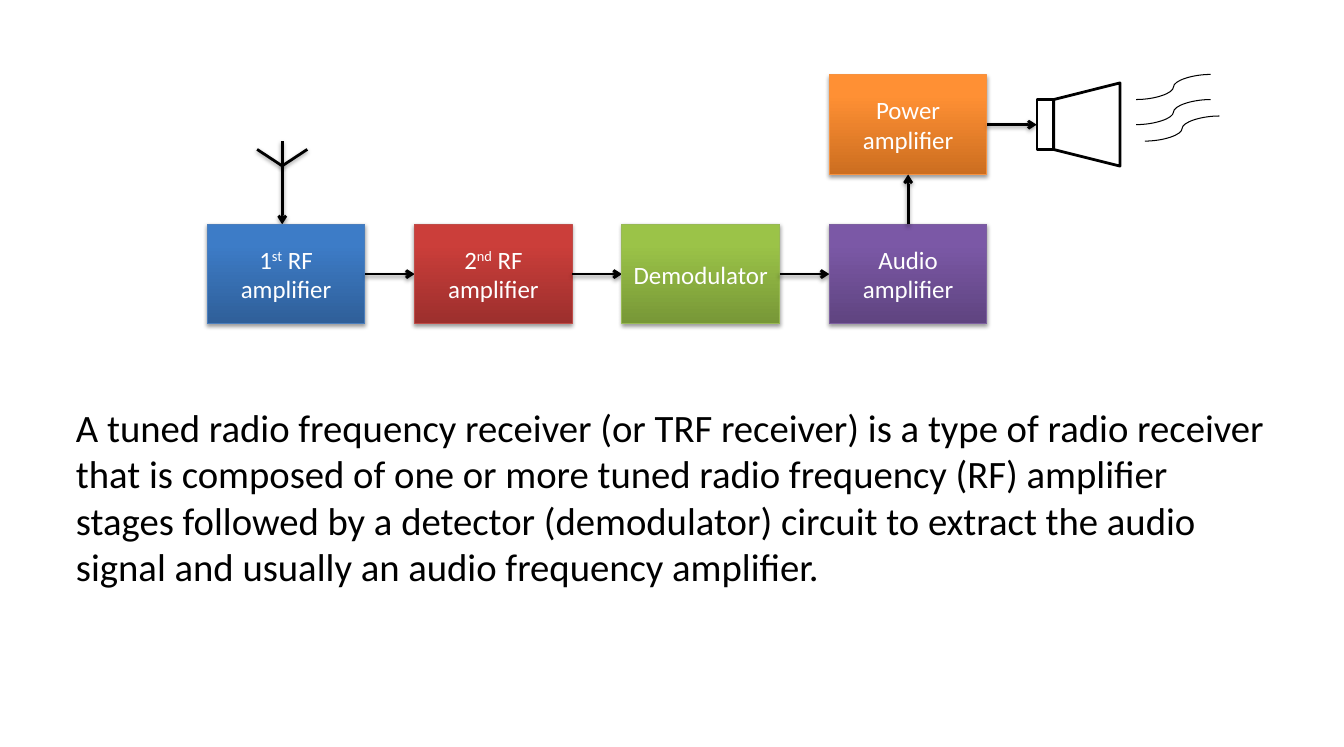
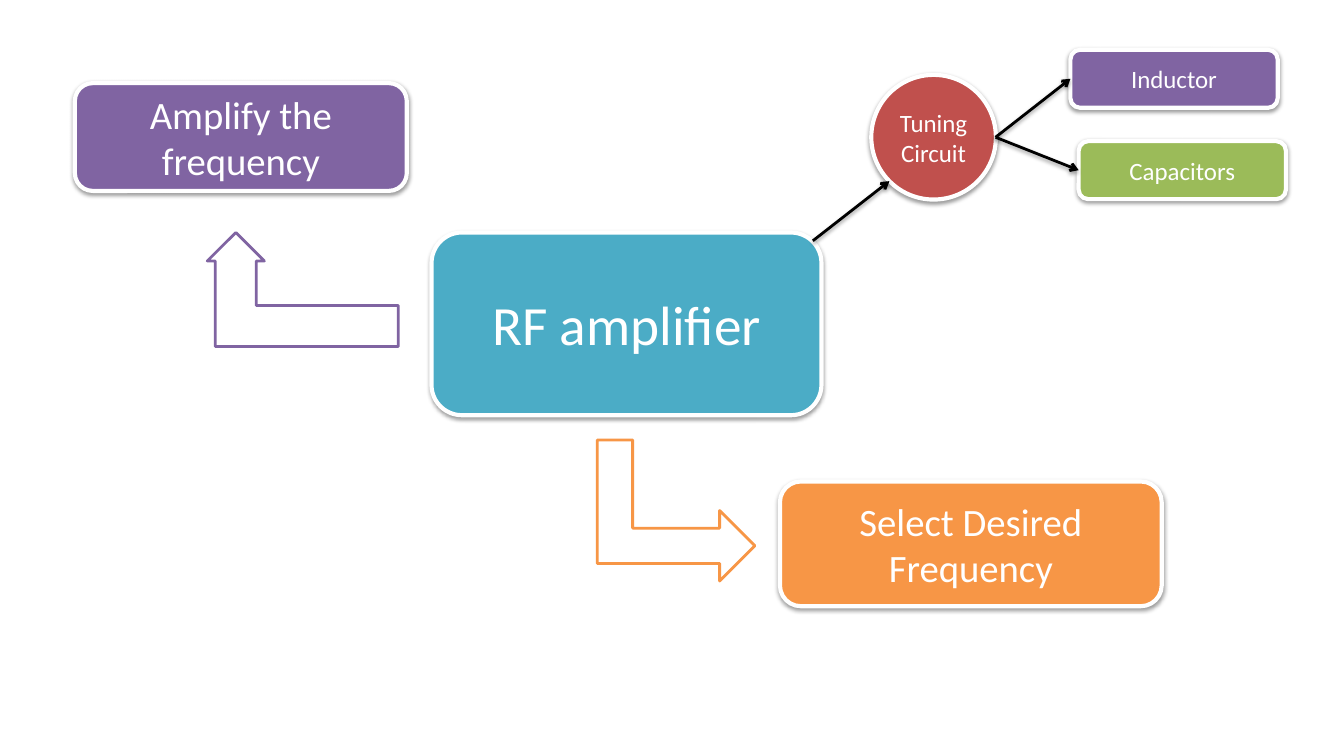
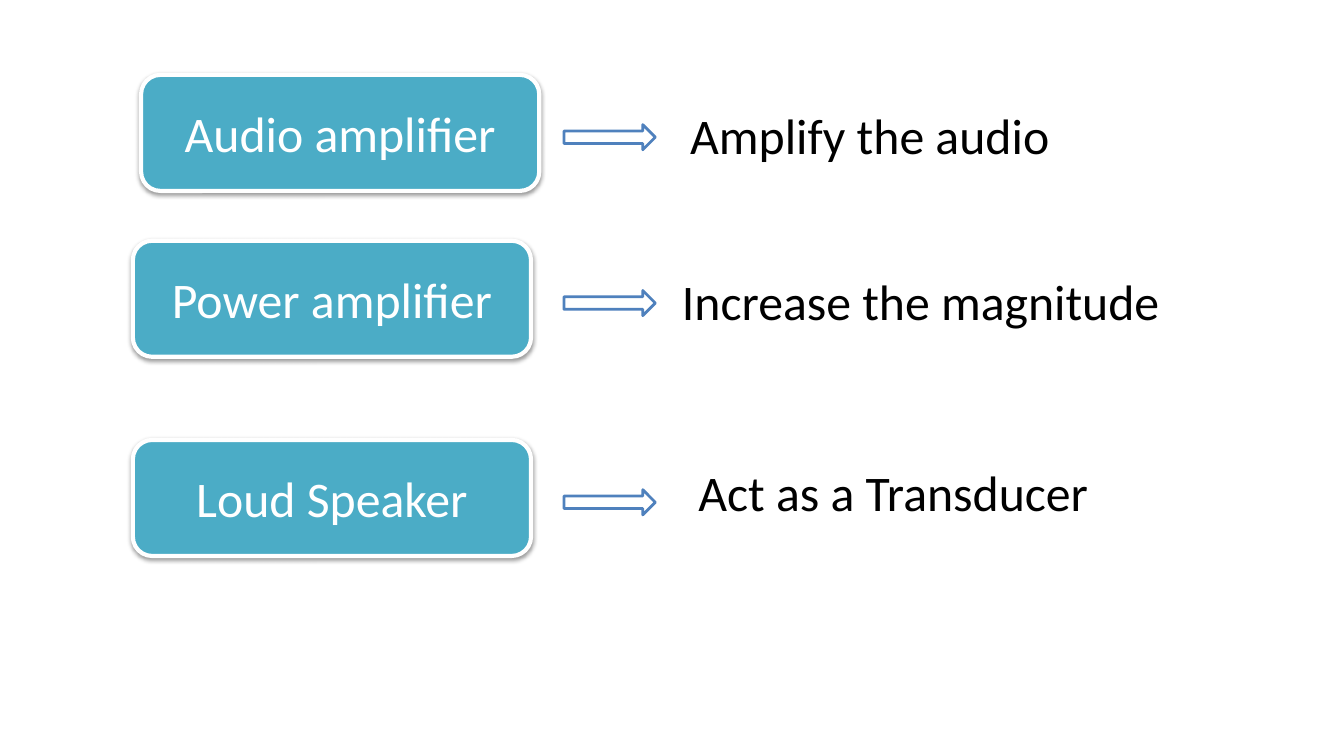
from pptx import Presentation
from pptx import util as u
from pptx.dml.color import RGBColor
from pptx.enum import shapes, text
from pptx.oxml import ns, xmlchemy

Cm, Pt = u.Cm, u.Pt
Preset = shapes.MSO_SHAPE
BLACK, WHITE = "000000", "FFFFFF"
BLUE, RED, GREEN = "4F81BD", "C0504D", "9BBB59"
PURPLE, TEAL, ORANGE = "8064A2", "4BACC6", "F79646"


def color(value):
    return RGBColor.from_string(value)


def write(frame, content, size=18, ink=BLACK, font="Calibri", align=text.PP_ALIGN.LEFT):
    """Write one paragraph per line; parts between ^ marks are superscript."""
    for number, line in enumerate(content.split("\n")):
        paragraph = frame.add_paragraph() if number else frame.paragraphs[0]
        paragraph.alignment = align
        for position, part in enumerate(line.split("^")):
            run = paragraph.add_run()
            run.text = part
            run.font.name, run.font.size = font, Pt(size)
            run.font.color.rgb = color(ink)
            if position % 2:
                run.font._element.set("baseline", "30000")


class Deck:
    """Holds the presentation, its style and the current slide."""

    def __init__(self, width, height):
        self.presentation = Presentation()
        self.presentation.slide_width = Cm(width)
        self.presentation.slide_height = Cm(height)
        self.slide = None

    def new_slide(self):
        self.slide = self.presentation.slides.add_slide(self.presentation.slide_layouts[6])

    def add_effects(self, shape, shadow):
        properties = shape._element.spPr
        effects = xmlchemy.OxmlElement("a:effectLst")
        properties.append(effects)
        if shadow:
            outer = xmlchemy.OxmlElement("a:outerShdw")
            for name, value in (("blurRad", Pt(3.1)), ("dist", Pt(1.6)),
                                ("dir", 5400000), ("rotWithShape", 0)):
                outer.set(name, str(value))
            shade = xmlchemy.OxmlElement("a:srgbClr")
            shade.set("val", BLACK)
            alpha = xmlchemy.OxmlElement("a:alpha")
            alpha.set("val", "38000")
            shade.append(alpha)
            outer.append(shade)
            effects.append(outer)

    def shape(self, preset, box, fill=WHITE, line=BLACK, width=2, shadow=False):
        """Draw a preset shape; a pair of fills makes a vertical gradient."""
        shape = self.slide.shapes.add_shape(preset, *map(Cm, box))
        if isinstance(fill, tuple):
            shape.fill.gradient()
            shape.fill.gradient_angle = 90
            for stop, shade, position in zip(shape.fill.gradient_stops, fill, (0, 0.8)):
                stop.color.rgb = color(shade)
                stop.position = position
        else:
            shape.fill.solid()
            shape.fill.fore_color.rgb = color(fill)
        shape.line.color.rgb = color(line)
        shape.line.width = Pt(width)
        self.add_effects(shape, shadow)
        return shape

    def block(self, preset, box, content, fill, size=18, line=WHITE, width=3):
        shape = self.shape(preset, box, fill, line, width, shadow=True)
        shape.text_frame.word_wrap = True
        shape.text_frame.vertical_anchor = text.MSO_ANCHOR.MIDDLE
        write(shape.text_frame, content, size=size, ink=WHITE, align=text.PP_ALIGN.CENTER)

    def line(self, start, end, arrow=False):
        self.connector(shapes.MSO_CONNECTOR.STRAIGHT, start, end, 2, arrow, shadow=True)

    def connector(self, kind, start, end, width, arrow=False, shadow=False):
        connector = self.slide.shapes.add_connector(kind, *map(Cm, start + end))
        connector.line.color.rgb = color(BLACK)
        connector.line.width = Pt(width)
        if arrow:
            tail = xmlchemy.OxmlElement("a:tailEnd")
            tail.set("type", "arrow")
            connector._element.spPr.find(ns.qn("a:ln")).append(tail)
        self.add_effects(connector, shadow)

    def label(self, box, content, size):
        frame = self.slide.shapes.add_textbox(*map(Cm, box)).text_frame
        frame.word_wrap = False
        frame.auto_size = text.MSO_AUTO_SIZE.SHAPE_TO_FIT_TEXT
        write(frame, content, size=size)


def receiver_slide(deck):
    deck.new_slide()

    # Antenna
    mast, fork = 7.2, 4.23
    deck.line((mast, fork), (mast, 5.72), arrow=True)
    for tip in ((mast + 0.64, 3.81), (mast - 0.64, 3.81), (mast, 3.6)):
        deck.line((mast, fork), tip)

    # Receiver stages: grid column, top, text, gradient, outline
    width, height, gap = 4.02, 2.54, 1.27
    left, top = 5.29, 5.72
    power_top = top - height - gap
    stages = (
        (0, top, "1^st^ RF amplifier", ("2F5F99", "3D7CC7"), "4B7EBC"),
        (1, top, "2^nd^ RF amplifier", ("9C2F2D", "CB3E3A"), "BF4C48"),
        (2, top, "Demodulator", ("779737", "9BC348"), "98B955"),
        (3, top, "Audio amplifier", ("5F4480", "7B58A6"), "7D60A0"),
        (3, power_top, "Power amplifier", ("CC6E20", "FF9034"), "F69240"),
    )
    for column, stage_top, content, fill, outline in stages:
        stage_left = left + column * (width + gap)
        deck.block(Preset.RECTANGLE, (stage_left, stage_top, width, height),
                   content, fill, line=outline, width=0.75)
        # Each stage but the third column's last passes its signal to the right
        if (column, stage_top) != (3, top):
            start, middle = stage_left + width, stage_top + height / 2
            deck.line((start, middle), (start + gap, middle), arrow=True)
    audio_center = left + 3 * (width + gap) + width / 2
    deck.line((audio_center, top), (audio_center, top - gap), arrow=True)

    # Loudspeaker and sound waves
    deck.shape(Preset.RECTANGLE, (26.46, 2.54, 0.42, 1.27))
    horn = deck.shape(Preset.TRAPEZOID, (26.67, 2.33, 2.12, 1.69))
    horn.rotation = 270
    for x, y in ((28.99, 2.54), (28.99, 3.18), (29.21, 3.6)):
        deck.connector(shapes.MSO_CONNECTOR.CURVE, (x, y), (x + 1.9, y - 0.64), 0.75)

    # Definition
    deck.label((1.69, 10.16, 31.37, 5.05),
               "A tuned radio frequency receiver (or TRF receiver) is a type of radio receiver\n"
               "that is composed of one or more tuned radio frequency (RF) amplifier\n"
               "stages followed by a detector (demodulator) circuit to extract the audio\n"
               "signal and usually an audio frequency amplifier.", 28)


def amplifier_slide(deck):
    deck.new_slide()

    # Amplifier and its tuning circuit
    deck.block(Preset.ROUNDED_RECTANGLE, (11.01, 5.93, 9.95, 4.66), "RF amplifier", TEAL, 40)
    deck.block(Preset.OVAL, (22.23, 1.91, 3.18, 3.18), "Tuning Circuit", RED)
    deck.line((20.74, 6.14), (22.69, 4.62), arrow=True)
    for left, top, content, fill in ((27.31, 1.27, "Inductor", PURPLE),
                                     (27.52, 3.6, "Capacitors", GREEN)):
        deck.block(Preset.ROUNDED_RECTANGLE, (left, top, 5.29, 1.48), content, fill)
        deck.line((25.4, 3.5), (left, top + 0.74), arrow=True)

    # Two functions with bent arrows
    function = Preset.FLOWCHART_ALTERNATE_PROCESS
    deck.block(function, (19.9, 12.28, 9.74, 3.18), "Select Desired Frequency", ORANGE, 28)
    select_arrow = deck.shape(Preset.BENT_UP_ARROW, (15.45, 11.01, 3.6, 4.02), line=ORANGE)
    select_arrow.rotation = 90
    deck.block(function, (1.91, 2.12, 8.47, 2.75), "Amplify the frequency", PURPLE, 28)
    amplify_arrow = deck.shape(Preset.BENT_UP_ARROW, (5.29, 5.93, 4.87, 2.91), line=PURPLE)
    amplify_arrow.adjustments[0] = 0.36
    amplify_arrow._element.spPr.xfrm.set("flipH", "1")


def output_slide(deck):
    deck.new_slide()

    # Rows: top, block left, block text, label left, label top, label width, label text
    rows = (
        (1.91, 3.6, "Audio amplifier", 17.36, 2.54, 9.75, "Amplify the audio"),
        (6.14, 3.39, "Power amplifier", 17.15, 6.77, 12.8, "Increase the magnitude"),
        (11.22, 3.39, "Loud Speaker", 17.57, 11.64, 10.54, "Act as a Transducer"),
    )
    for top, left, part, label_left, label_top, label_width, purpose in rows:
        deck.block(Preset.FLOWCHART_ALTERNATE_PROCESS, (left, top, 10.16, 2.96), part, TEAL, 36)
        deck.shape(Preset.RIGHT_ARROW, (14.39, top + 1.27, 2.33, 0.64), line=BLUE)
        deck.label((label_left, label_top, label_width, 1.8), purpose, 36)


def main():
    deck = Deck(34.29, 19.05)
    receiver_slide(deck)
    amplifier_slide(deck)
    output_slide(deck)
    deck.presentation.save("out.pptx")


if __name__ == "__main__":
    main()
